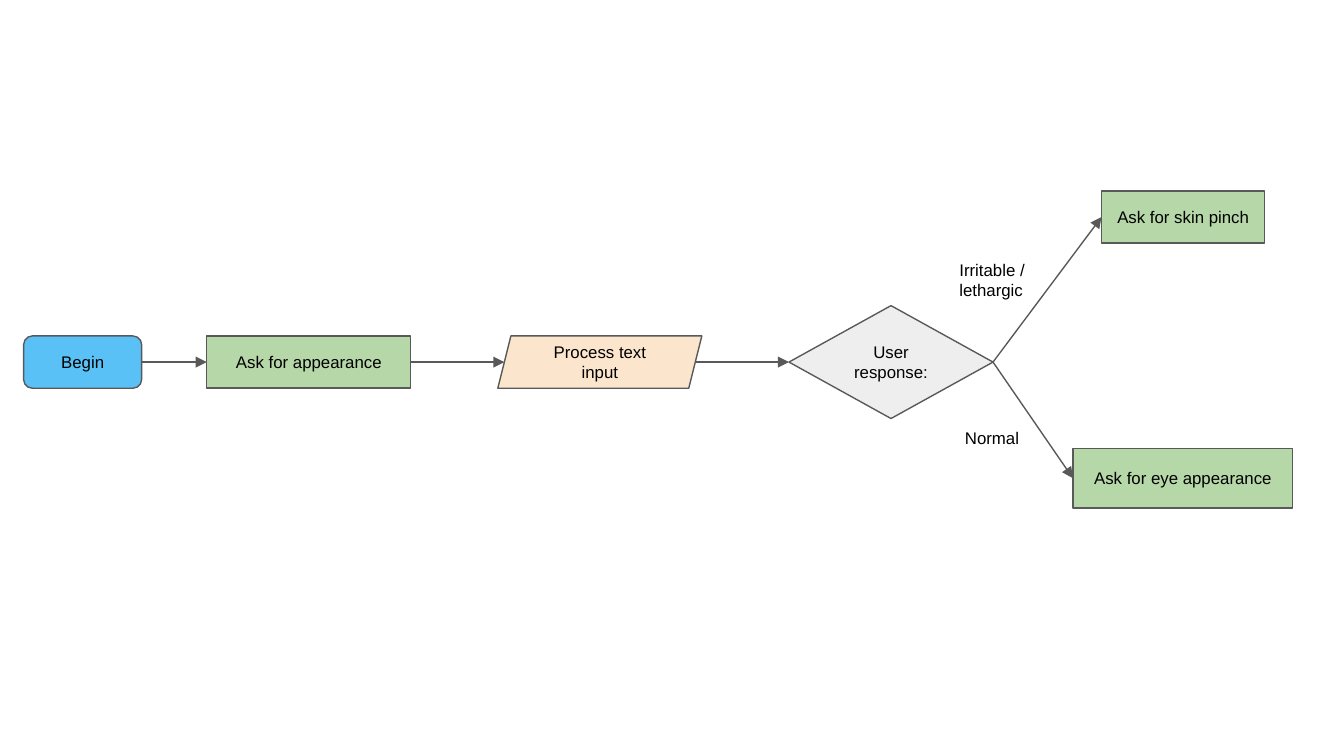
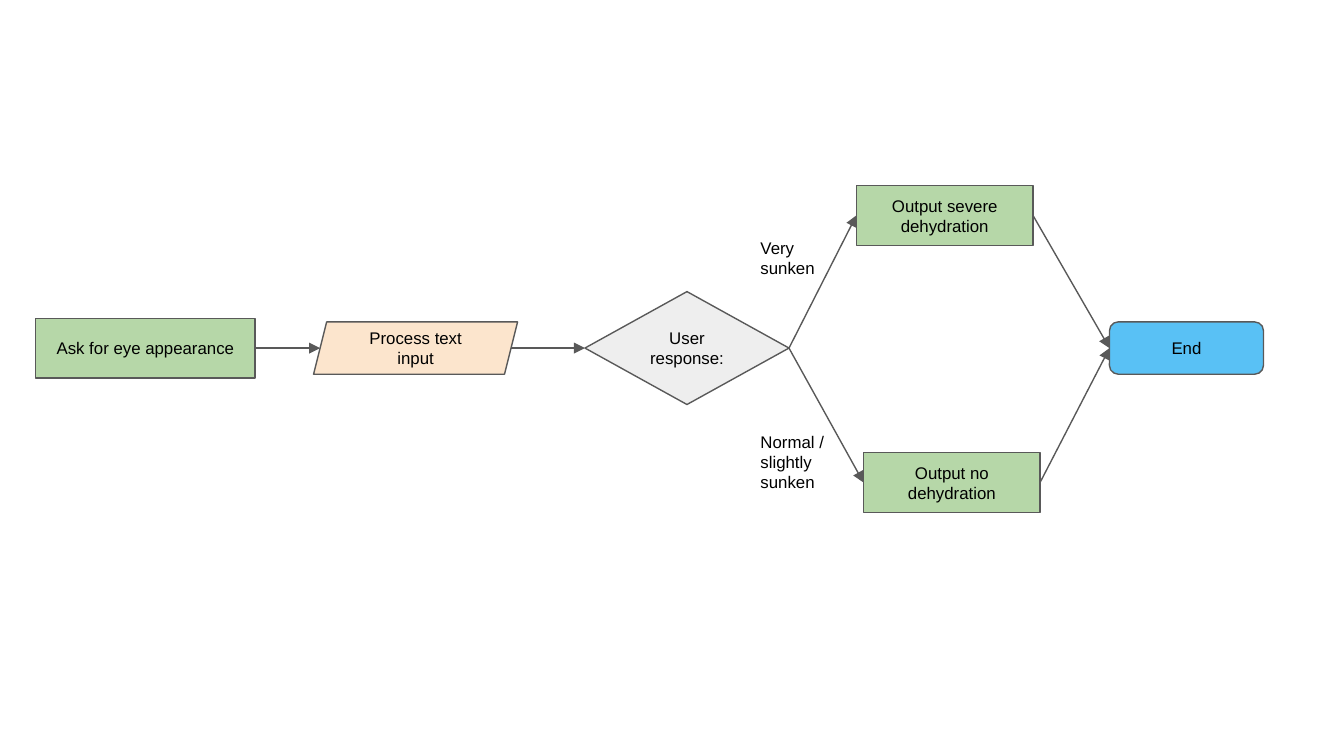
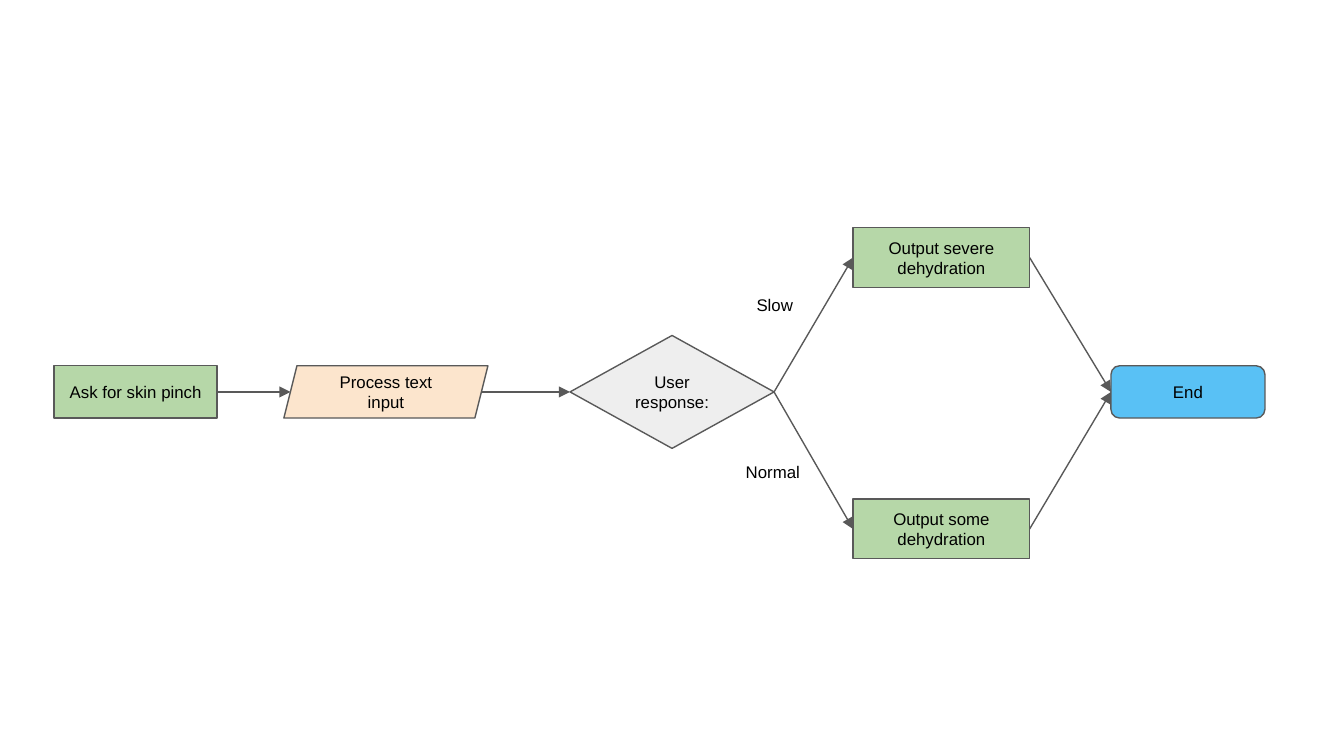
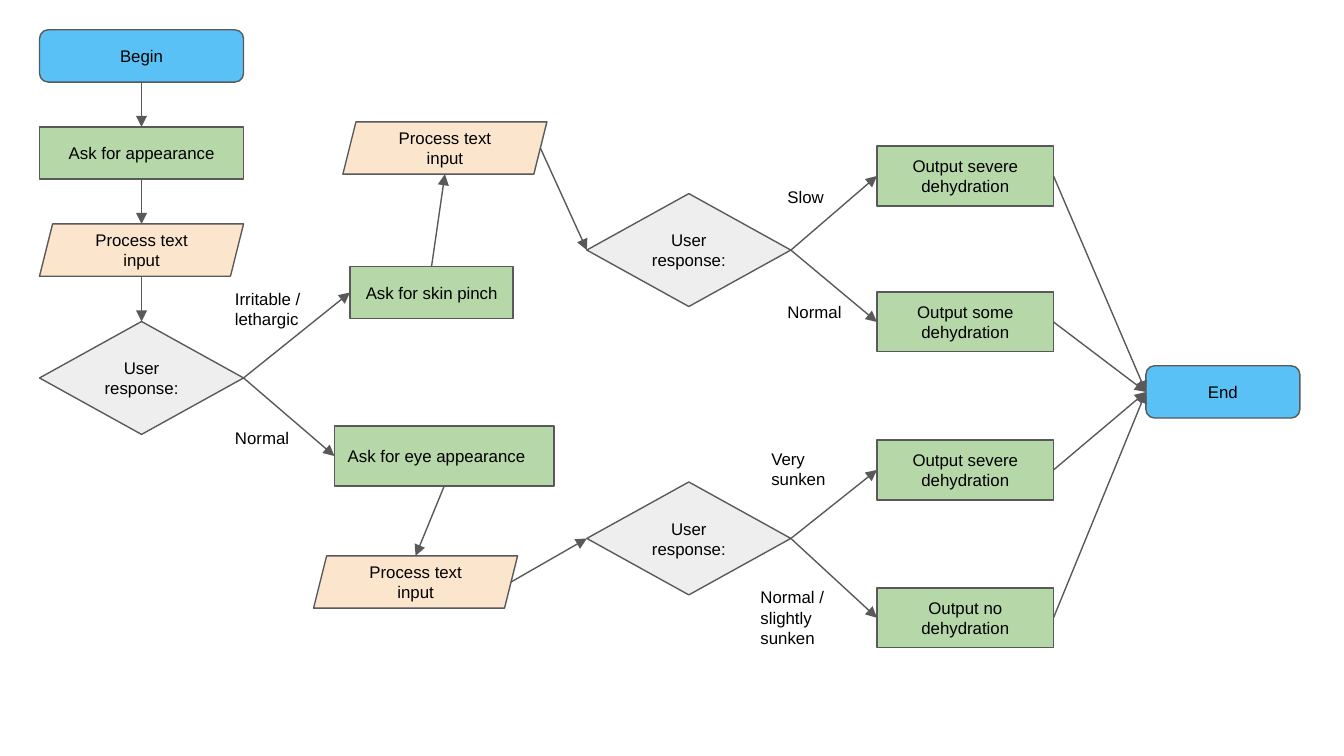
from lxml.etree import SubElement
from pptx import Presentation
from pptx.dml.color import RGBColor
from pptx.enum.shapes import MSO_CONNECTOR, MSO_SHAPE
from pptx.enum.text import MSO_ANCHOR, MSO_AUTO_SIZE, PP_ALIGN
from pptx.oxml.ns import qn
from pptx.util import Pt

BLUE, GREEN, PEACH, GREY = "59C1F5", "B6D7A8", "FCE5CD", "EEEEEE"
LINE, INK = "595959", "000000"
ACROSS, DOWN, UP = (3, 1), (2, 0), (0, 2)
SIDES = [(0.5, 0), (0, 0.5), (0.5, 1), (1, 0.5)]
SLANT = 3.5

FRAME = {
    "word_wrap": True,
    "margin_left": Pt(7.2),
    "margin_right": Pt(7.2),
    "margin_top": Pt(7.2),
    "margin_bottom": Pt(7.2),
}
FONT = {"name": "Arial", "size": Pt(9)}

STEPS = {
    "begin": ("Begin", MSO_SHAPE.ROUNDED_RECTANGLE, BLUE, 63.2, 28),
    "wide begin": ("Begin", MSO_SHAPE.ROUNDED_RECTANGLE, BLUE, 109.3, 28),
    "end": ("End", MSO_SHAPE.ROUNDED_RECTANGLE, BLUE, 82.5, 28),
    "appearance": ("Ask for appearance", MSO_SHAPE.RECTANGLE, GREEN, 109.3, 28),
    "pinch": ("Ask for skin pinch", MSO_SHAPE.RECTANGLE, GREEN, 87.4, 28),
    "eyes": ("Ask for eye appearance", MSO_SHAPE.RECTANGLE, GREEN, 117.7, 32),
    "left eyes": ("Ask for eye appearance", MSO_SHAPE.RECTANGLE, GREEN, 117.7, 32),
    "severe": ("Output severe dehydration", MSO_SHAPE.RECTANGLE, GREEN, 94.6, 32),
    "some": ("Output some dehydration", MSO_SHAPE.RECTANGLE, GREEN, 94.6, 32),
    "none": ("Output no dehydration", MSO_SHAPE.RECTANGLE, GREEN, 94.6, 32),
    "input": ("Process text input", MSO_SHAPE.PARALLELOGRAM, PEACH, 109.3, 28),
    "response": ("User response:", MSO_SHAPE.DIAMOND, GREY, 109.3, 60.5),
}

ANSWER_SIZES = {
    "Normal": (49, 25.2),
    "Slow": (49, 25.2),
    "Very sunken": (49, 36),
    "Normal / slightly sunken": (49, 47.5),
    "Irritable / lethargic": (54.6, 47.5),
}

FLOWS = [
    {
        "steps": {
            "begin": ("begin", 12.7, 194),
            "appearance": ("appearance", 110.8, 194),
            "input": ("input", 266.7, 194),
            "response": ("response", 422.7, 194),
            "pinch": ("pinch", 590.1, 116.3),
            "eyes": ("eyes", 574.8, 256.2),
        },
        "arrows": [
            ("begin", "appearance", ACROSS),
            ("appearance", "input", ACROSS),
            ("input", "response", ACROSS),
            ("response", "pinch", ACROSS),
            ("response", "eyes", ACROSS),
        ],
        "answers": [
            ("Normal", 509.8, 223.9),
            ("Irritable / lethargic", 506.9, 131.8),
        ],
    },
    {
        "steps": {
            "eyes": ("eyes", 19, 186.5),
            "input": ("input", 168, 186.5),
            "response": ("response", 313.4, 186.5),
            "severe": ("severe", 458.8, 115.4),
            "none": ("none", 462.6, 258.5),
            "end": ("end", 594.4, 186.5),
        },
        "arrows": [
            ("eyes", "input", ACROSS),
            ("input", "response", ACROSS),
            ("response", "severe", ACROSS),
            ("response", "none", ACROSS),
            ("severe", "end", ACROSS),
            ("none", "end", ACROSS),
        ],
        "answers": [
            ("Normal / slightly sunken", 400.3, 223.9),
            ("Very sunken", 400.3, 120.2),
        ],
    },
    {
        "steps": {
            "pinch": ("pinch", 28.9, 210),
            "input": ("input", 152.1, 210),
            "response": ("response", 305.4, 210),
            "severe": ("severe", 457, 138),
            "some": ("some", 457, 283.4),
            "end": ("end", 595.2, 210),
        },
        "arrows": [
            ("pinch", "input", ACROSS),
            ("input", "response", ACROSS),
            ("response", "severe", ACROSS),
            ("response", "some", ACROSS),
            ("severe", "end", ACROSS),
            ("some", "end", ACROSS),
        ],
        "answers": [("Slow", 398.2, 152.6), ("Normal", 392.4, 241.9)],
    },
    {
        "steps": {
            "begin": ("wide begin", 21.2, 30),
            "appearance": ("appearance", 21.2, 82),
            "input": ("input", 21.2, 134),
            "response": ("response", 21.2, 202.5),
            "pinch": ("pinch", 187.5, 156.7),
            "pinch input": ("input", 183.7, 79.3),
            "pinch response": ("response", 314.4, 134),
            "eyes": ("left eyes", 179.2, 244.3),
            "eyes input": ("input", 168, 311.8),
            "eyes response": ("response", 314.4, 288.5),
            "pinch severe": ("severe", 469.8, 94.3),
            "some": ("some", 469.8, 172.5),
            "eyes severe": ("severe", 469.8, 251.8),
            "none": ("none", 469.8, 331),
            "end": ("end", 613.9, 210),
        },
        "arrows": [
            ("begin", "appearance", DOWN),
            ("appearance", "input", DOWN),
            ("input", "response", DOWN),
            ("response", "pinch", ACROSS),
            ("response", "eyes", ACROSS),
            ("pinch", "pinch input", UP),
            ("pinch input", "pinch response", ACROSS),
            ("pinch response", "pinch severe", ACROSS),
            ("pinch response", "some", ACROSS),
            ("eyes", "eyes input", DOWN),
            ("eyes input", "eyes response", ACROSS),
            ("eyes response", "eyes severe", ACROSS),
            ("eyes response", "none", ACROSS),
            ("pinch severe", "end", ACROSS),
            ("some", "end", ACROSS),
            ("eyes severe", "end", ACROSS),
            ("none", "end", ACROSS),
        ],
        "answers": [
            ("Irritable / lethargic", 118.8, 147.6),
            ("Normal", 118.8, 223.9),
            ("Slow", 414.7, 94.3),
            ("Normal", 414.7, 156.2),
            ("Very sunken", 406.1, 233.3),
            ("Normal / slightly sunken", 400.3, 307.4),
        ],
    },
]


def paint(fill, color):
    fill.solid()
    fill.fore_color.rgb = RGBColor.from_string(color)


def write(frame, text, align):
    for attribute, value in FRAME.items():
        setattr(frame, attribute, value)
    paragraph = frame.paragraphs[0]
    paragraph.alignment = align
    run = paragraph.add_run()
    run.text = text
    for attribute, value in FONT.items():
        setattr(run.font, attribute, value)
    paint(run.font.fill, INK)


prs = Presentation()
prs.slide_width, prs.slide_height = Pt(720), Pt(405)

for flow in FLOWS:
    slide = prs.slides.add_slide(prs.slide_layouts[6])

    steps = {}
    for key, (kind, left, middle) in flow["steps"].items():
        text, geometry, color, width, height = STEPS[kind]
        step = slide.shapes.add_shape(
            geometry, Pt(left), Pt(middle - height / 2), Pt(width), Pt(height)
        )
        step.shadow.inherit = False
        paint(step.fill, color)
        paint(step.line.fill, LINE)
        step.line.width = Pt(0.75)
        step.text_frame.vertical_anchor = MSO_ANCHOR.MIDDLE
        write(step.text_frame, text, PP_ALIGN.LEFT if kind == "left eyes" else PP_ALIGN.CENTER)
        steps[key] = step

    for source, target, sides in flow["arrows"]:
        ends = []
        for key, side in zip((source, target), sides):
            step = steps[key]
            across, down = SIDES[side]
            x = step.left + step.width * across
            if step.auto_shape_type == MSO_SHAPE.PARALLELOGRAM:
                x += Pt(SLANT) * (1 - 2 * across)
            ends += [int(x), int(step.top + step.height * down)]
        arrow = slide.shapes.add_connector(MSO_CONNECTOR.STRAIGHT, *ends)
        for key, side, connect in zip(
            (source, target), sides, (arrow.begin_connect, arrow.end_connect)
        ):
            if steps[key].auto_shape_type != MSO_SHAPE.PARALLELOGRAM:
                connect(steps[key], side)
        paint(arrow.line.fill, LINE)
        arrow.line.width = Pt(0.75)
        SubElement(
            arrow.line._get_or_add_ln(), qn("a:tailEnd"), type="triangle", w="med", len="med"
        )
        SubElement(arrow._element.spPr, qn("a:effectLst"))

    for text, left, top in flow["answers"]:
        width, height = ANSWER_SIZES[text]
        answer = slide.shapes.add_textbox(Pt(left), Pt(top), Pt(width), Pt(height))
        write(answer.text_frame, text, PP_ALIGN.LEFT)
        answer.text_frame.auto_size = MSO_AUTO_SIZE.SHAPE_TO_FIT_TEXT

prs.save("out.pptx")
